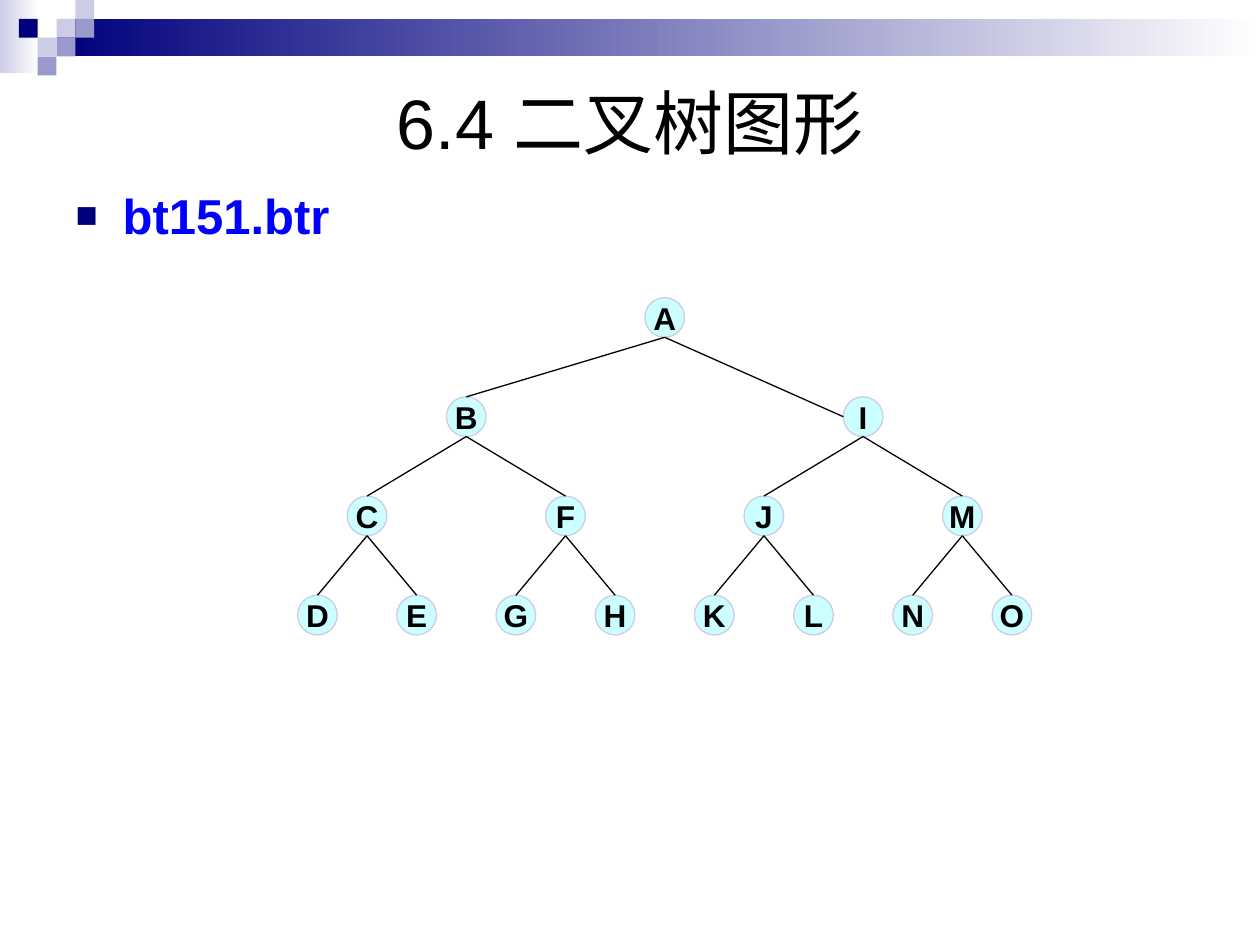
from lxml.etree import SubElement
from pptx import Presentation
from pptx.dml.color import RGBColor
from pptx.enum.shapes import MSO_CONNECTOR, MSO_SHAPE
from pptx.enum.text import MSO_ANCHOR, PP_ALIGN
from pptx.oxml.ns import qn
from pptx.util import Cm, Pt


def color(value):
    return RGBColor.from_string(value)


def add_box(kind, left, top, width, height, fills):
    shape = slide.shapes.add_shape(kind, Cm(left), Cm(top), Cm(width), Cm(height))
    shape.shadow.inherit = False
    shape.line.fill.background()
    if len(fills) == 1:
        shape.fill.solid()
        shape.fill.fore_color.rgb = color(fills[0])
    else:
        shape.fill.gradient()
        shape.fill.gradient_angle = 0
        for position, (stop, value) in enumerate(zip(shape.fill.gradient_stops, fills)):
            stop.color.rgb = color(value)
            stop.position = position
    return shape


presentation = Presentation()
presentation.slide_width, presentation.slide_height = Cm(25.4), Cm(19.05)
slide = presentation.slides.add_slide(presentation.slide_layouts[1])

add_box(MSO_SHAPE.RECTANGLE, 0, 0, 0.79, 1.47, ["CCCCE6", "FFFFFF"])
add_box(MSO_SHAPE.RECTANGLE, 1.14, 0.38, 24.26, 0.76, ["00007D", "FFFFFF"])
square = 0.38
for column, row, fill in [
    (3, 1, "CCCCE6"), (4, 0, "CCCCE6"), (4, 1, "9999CC"), (2, 2, "CCCCE6"),
    (1, 1, "00007D"), (3, 2, "9999CC"), (2, 3, "9999CC"),
]:
    add_box(MSO_SHAPE.RECTANGLE, column * square, row * square, square, square, [fill])

title = slide.shapes.title
title.left, title.top, title.width, title.height = Cm(1.27), Cm(1.27), Cm(22.86), Cm(2.34)
title.text_frame.text = "6.4 二叉树图形"
title.text_frame.vertical_anchor = MSO_ANCHOR.MIDDLE
paragraph = title.text_frame.paragraphs[0]
paragraph.alignment = PP_ALIGN.CENTER
paragraph.font.size = Pt(40)
paragraph.font.name = "Arial"
paragraph.font.color.rgb = color("000000")

body = slide.placeholders[1]
body.left, body.top, body.width, body.height = Cm(1.27), Cm(3.61), Cm(22.86), Cm(13.54)
body.text_frame.text = "bt151.btr"
paragraph = body.text_frame.paragraphs[0]
paragraph.space_before = Pt(7)
paragraph.font.size = Pt(28)
paragraph.font.name = "Arial"
paragraph.font.bold = True
paragraph.font.color.rgb = color("0000FF")
properties = paragraph._p.get_or_add_pPr()
properties.set("marL", str(Cm(0.95)))
properties.set("indent", str(-Cm(0.95)))
bullet_color = SubElement(properties, qn("a:buClr"))
SubElement(bullet_color, qn("a:srgbClr"), val="00007D")
SubElement(properties, qn("a:buSzPct"), val="75000")
SubElement(properties, qn("a:buFont"), typeface="Arial")
SubElement(properties, qn("a:buChar"), char="■")
properties.append(properties.find(qn("a:defRPr")))

levels = ["A", "BI", "CFJM", "DEGHKLNO"]
diameter, level_gap, first_left, first_top = 0.8, 2, 6, 6
radius = diameter / 2
centers = {}
for depth, letters in enumerate(levels):
    span = 2 ** (len(levels) - 1 - depth)
    for index, letter in enumerate(letters):
        left = first_left + span - 1 + 2 * span * index
        top = first_top + level_gap * depth
        centers[letter] = (left + radius, top + radius)
        node = add_box(MSO_SHAPE.OVAL, left, top, diameter, diameter, ["CCFFFF"])
        node.line.color.rgb = color("CCCCE6")
        node.line.width = Pt(0.75)
        node.text_frame.text = letter
        node.text_frame.word_wrap = False
        node.text_frame.vertical_anchor = MSO_ANCHOR.MIDDLE
        paragraph = node.text_frame.paragraphs[0]
        paragraph.alignment = PP_ALIGN.CENTER
        paragraph.font.size = Pt(18)
        paragraph.font.name = "Arial"
        paragraph.font.bold = True
        paragraph.font.color.rgb = color("000000")

for parents, children in zip(levels, levels[1:]):
    for index, child in enumerate(children):
        start_x, start_y = centers[parents[index // 2]]
        end_x, end_y = centers[child]
        if child == "I":
            end_x -= radius
        else:
            end_y -= radius
        edge = slide.shapes.add_connector(
            MSO_CONNECTOR.STRAIGHT, Cm(start_x), Cm(start_y + radius), Cm(end_x), Cm(end_y)
        )
        edge.line.color.rgb = color("000000")
        edge.line.width = Pt(0.75)
        SubElement(edge._element.spPr, qn("a:effectLst"))

presentation.save("out.pptx")
